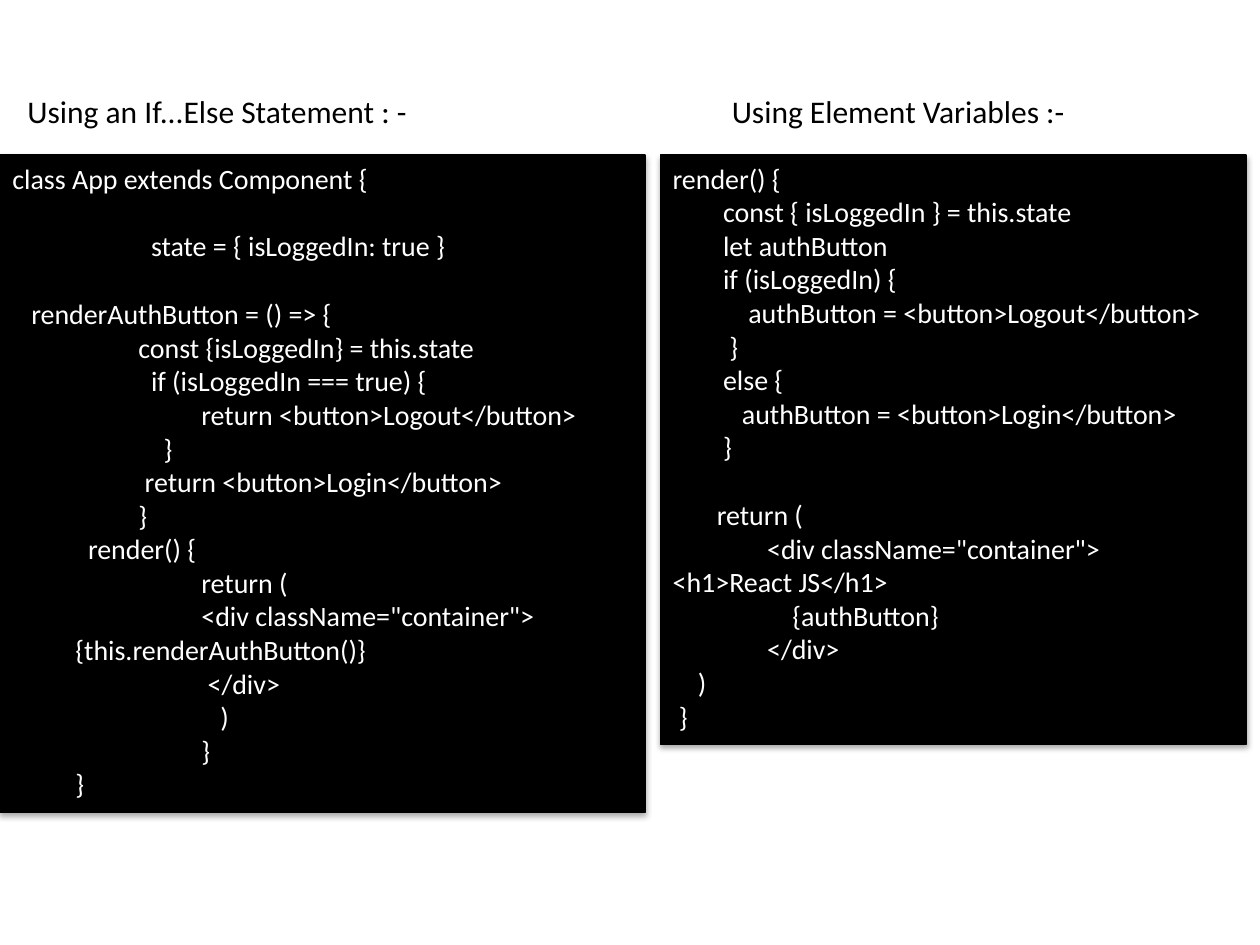
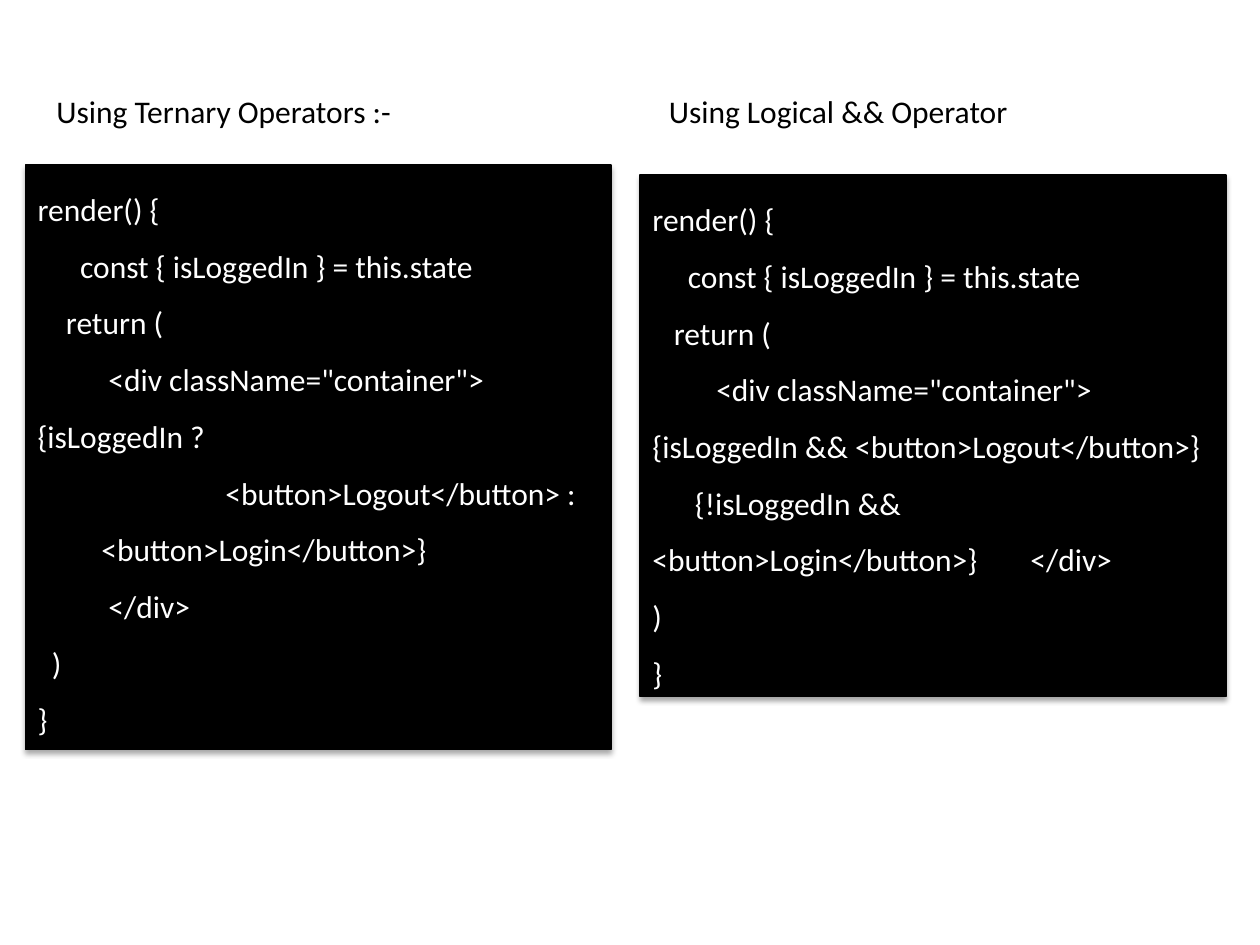
from lxml import etree
from pptx import Presentation
from pptx.dml.color import RGBColor
from pptx.enum.shapes import MSO_SHAPE as Shape
from pptx.enum.text import MSO_ANCHOR as Anchor, PP_ALIGN as Align
from pptx.oxml import parse_xml
from pptx.oxml.ns import nsdecls, qn
from pptx.util import Inches, Pt

COLORS = {"paper": "FFFFFF", "title": "000000", "panel": "000000", "code": "FFFFFF"}
FONT = "Calibri"
TITLE_SIZE = 18
TITLE_TOP, TITLE_HEIGHT = 6.8, 4
COLUMNS, ROWS = 100, 75
SLIDE_WIDTH, SLIDE_HEIGHT = Inches(10), Inches(7.5)
BLANK_LAYOUT = 6
SPACE_SHARE = 0.225
LINE_SHARE = 1.22

IF_ELSE_CODE = [
    (0, "class App extends Component {"),
    (22, "state = { isLoggedIn: true }", 1),
    (3, "renderAuthButton = () => {", 1),
    (20, "const {isLoggedIn} = this.state"),
    (22, "if (isLoggedIn === true) {"),
    (30, "return <button>Logout</button>"),
    (24, "}"),
    (21, "return <button>Login</button>"),
    (20, "}"),
    (12, "render() {"),
    (30, "return ("),
    (30, '<div className="container">'),
    (10, "{this.renderAuthButton()}"),
    (31, "</div>"),
    (33, ")"),
    (30, "}"),
    (10, "}"),
]

ELEMENT_VARIABLE_CODE = [
    (0, "render() {"),
    (8, "const { isLoggedIn } = this.state"),
    (8, "let authButton"),
    (8, "if (isLoggedIn) {"),
    (12, "authButton = <button>Logout</button>"),
    (9, "}"),
    (8, "else {"),
    (11, "authButton = <button>Login</button>"),
    (8, "}"),
    (7, "return (", 1),
    (15, '<div className="container">'),
    (0, "<h1>React JS</h1>"),
    (19, "{authButton}"),
    (15, "</div>"),
    (4, ")"),
    (1, "}"),
]

TERNARY_CODE = [
    (0, "render() {"),
    (6, "const { isLoggedIn } = this.state"),
    (4, "return ("),
    (10, '<div className="container">'),
    (0, "{isLoggedIn ?"),
    (26.5, "<button>Logout</button> :"),
    (9, "<button>Login</button>}"),
    (10, "</div>"),
    (2, ")"),
    (0, "}"),
]

LOGICAL_AND_CODE = [
    (0, "render() {"),
    (5, "const { isLoggedIn } = this.state"),
    (3, "return ("),
    (9, '<div className="container">'),
    (0, "{isLoggedIn && <button>Logout</button>}"),
    (6, "{!isLoggedIn && <button>Login</button>}\t</div>"),
    (0, ")"),
    (0, "}"),
]

SLIDES = [
    {
        "size": 16,
        "spacing": 1.0,
        "examples": [
            ("Using an If...Else Statement : -", 1.2, 71.7, (0, 12.3, 51.2, 52.2), IF_ELSE_CODE),
            ("Using Element Variables :-", 57.1, 41.3, (52.4, 12.3, 46.5, 46.8), ELEMENT_VARIABLE_CODE),
        ],
    },
    {
        "size": 18,
        "spacing": 1.5,
        "examples": [
            ("Using Ternary Operators :-", 3.5, 45.7, (2, 13.1, 46.5, 46.4), TERNARY_CODE),
            ("Using Logical && Operator", 52.1, 45.2, (50.8, 13.9, 46.5, 41.4), LOGICAL_AND_CODE),
        ],
    },
]


def grid(left, top, width, height):
    column, row = SLIDE_WIDTH / COLUMNS, SLIDE_HEIGHT / ROWS
    return round(left * column), round(top * row), round(width * column), round(height * row)


def style_paragraph(paragraph, size, color):
    paragraph.alignment = Align.LEFT
    paragraph.font.name = FONT
    paragraph.font.size = Pt(size)
    paragraph.font.color.rgb = RGBColor.from_string(COLORS[color])


def add_soft_shadow(shape):
    properties = shape.element.spPr
    for effects in properties.findall(qn("a:effectLst")):
        properties.remove(effects)
    effects = parse_xml(f"<a:effectLst {nsdecls('a')}/>")
    shadow = etree.SubElement(
        effects, qn("a:outerShdw"),
        blurRad=str(Pt(3.1)), dist=str(Pt(1.8)), dir="5400000", rotWithShape="0",
    )
    color = etree.SubElement(shadow, qn("a:srgbClr"), val=COLORS["panel"])
    etree.SubElement(color, qn("a:alpha"), val="35000")
    properties.append(effects)


def add_title(slide, box, text):
    frame = slide.shapes.add_textbox(*grid(*box)).text_frame
    frame.word_wrap = True
    paragraph = frame.paragraphs[0]
    paragraph.text = text
    style_paragraph(paragraph, TITLE_SIZE, "title")


def add_code_panel(slide, box, code, size, spacing):
    panel = slide.shapes.add_shape(Shape.RECTANGLE, *grid(*box))
    panel.fill.solid()
    panel.fill.fore_color.rgb = RGBColor.from_string(COLORS["panel"])
    panel.line.color.rgb = RGBColor.from_string(COLORS["panel"])
    panel.line.width = Pt(0.75)
    add_soft_shadow(panel)
    frame = panel.text_frame
    frame.word_wrap = True
    frame.vertical_anchor = Anchor.TOP
    for number, (spaces, text, *gap) in enumerate(code):
        paragraph = frame.add_paragraph() if number else frame.paragraphs[0]
        paragraph.text = text
        paragraph.line_spacing = spacing
        paragraph.space_before = Pt(sum(gap) * size * LINE_SHARE)
        paragraph_properties = paragraph._p.get_or_add_pPr()
        paragraph_properties.set("marL", "0")
        paragraph_properties.set("indent", str(Pt(spaces * SPACE_SHARE * size)))
        style_paragraph(paragraph, size, "code")


def add_comparison_slide(presentation, size, spacing, examples):
    slide = presentation.slides.add_slide(presentation.slide_layouts[BLANK_LAYOUT])
    slide.background.fill.solid()
    slide.background.fill.fore_color.rgb = RGBColor.from_string(COLORS["paper"])
    for title, left, width, panel_box, code in examples:
        add_title(slide, (left, TITLE_TOP, width, TITLE_HEIGHT), title)
        add_code_panel(slide, panel_box, code, size, spacing)


def main():
    presentation = Presentation()
    presentation.slide_width, presentation.slide_height = SLIDE_WIDTH, SLIDE_HEIGHT
    for content in SLIDES:
        add_comparison_slide(presentation, **content)
    presentation.save("out.pptx")


if __name__ == "__main__":
    main()
